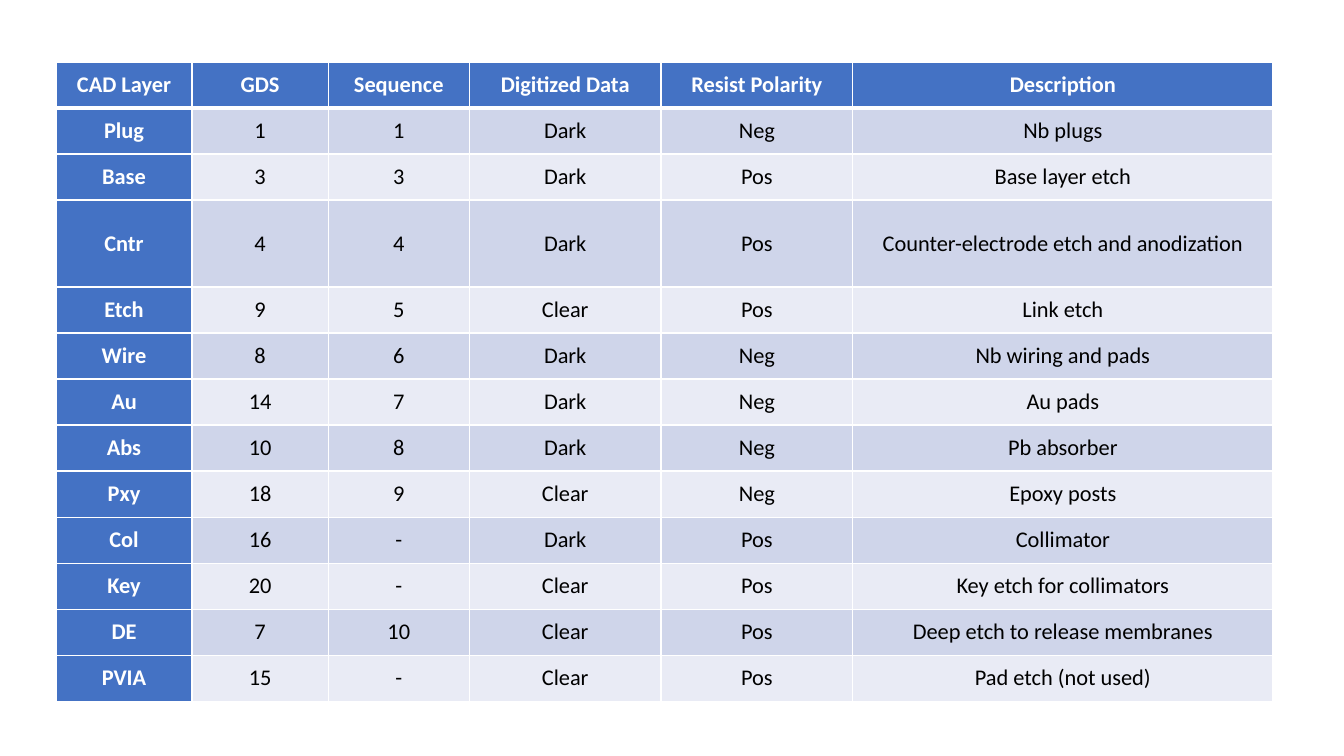
import lxml.etree
import pptx
import pptx.dml.color
import pptx.enum.text
import pptx.oxml.ns
import pptx.util

Cm = pptx.util.Cm
Pt = pptx.util.Pt

WHITE = pptx.dml.color.RGBColor(0xFF, 0xFF, 0xFF)
BLACK = pptx.dml.color.RGBColor(0x00, 0x00, 0x00)
HEADER_BLUE = pptx.dml.color.RGBColor(0x44, 0x72, 0xC4)
BAND_DARK = pptx.dml.color.RGBColor(0xCF, 0xD5, 0xEA)
BAND_LIGHT = pptx.dml.color.RGBColor(0xE9, 0xEB, 0xF5)

COLUMN_WIDTHS = (3.43, 3.43, 3.56, 4.83, 4.83, 10.59)
ROW_HEIGHT = 1.16
TALL_ROW_HEIGHT = 2.19
TALL_LAYER = "Cntr"

LAYERS = (
    ("CAD Layer", "GDS", "Sequence", "Digitized Data", "Resist Polarity", "Description"),
    ("Plug", "1", "1", "Dark", "Neg", "Nb plugs"),
    ("Base", "3", "3", "Dark", "Pos", "Base layer etch"),
    ("Cntr", "4", "4", "Dark", "Pos", "Counter-electrode etch and anodization"),
    ("Etch", "9", "5", "Clear", "Pos", "Link etch"),
    ("Wire", "8", "6", "Dark", "Neg", "Nb wiring and pads"),
    ("Au", "14", "7", "Dark", "Neg", "Au pads"),
    ("Abs", "10", "8", "Dark", "Neg", "Pb absorber"),
    ("Pxy", "18", "9", "Clear", "Neg", "Epoxy posts"),
    ("Col", "16", "-", "Dark", "Pos", "Collimator"),
    ("Key", "20", "-", "Clear", "Pos", "Key etch for collimators"),
    ("DE", "7", "10", "Clear", "Pos", "Deep etch to release membranes"),
    ("PVIA", "15", "-", "Clear", "Pos", "Pad etch (not used)"),
)


def write_text(cell, text, *, color=BLACK, bold=False, size=16, font="Calibri"):
    """Write centred text into a cell with the given format."""
    cell.vertical_anchor = pptx.enum.text.MSO_ANCHOR.MIDDLE
    cell.margin_left = cell.margin_right = Cm(0.18)
    cell.margin_top = cell.margin_bottom = 0
    paragraph = cell.text_frame.paragraphs[0]
    paragraph.alignment = pptx.enum.text.PP_ALIGN.CENTER
    run = paragraph.add_run()
    run.text = text
    run.font.name = font
    run.font.size = Pt(size)
    run.font.bold = bold
    run.font.color.rgb = color


def draw_borders(cell, top, bottom):
    """Give a cell white borders, with top and bottom widths in points."""
    properties = cell._tc.get_or_add_tcPr()
    qualify = pptx.oxml.ns.qn
    for edge, width in (("L", 1), ("R", 1), ("T", top), ("B", bottom)):
        line = lxml.etree.SubElement(properties, qualify(f"a:ln{edge}"), w=str(Pt(width)))
        fill = lxml.etree.SubElement(line, qualify("a:solidFill"))
        lxml.etree.SubElement(fill, qualify("a:srgbClr"), val=str(WHITE))


def add_layer_table(slide, left, top, width, height):
    """Place the table of mask layers in the given box."""
    shape = slide.shapes.add_table(len(LAYERS), len(COLUMN_WIDTHS), left, top, width, height)
    table = shape.table
    table.first_col = True
    for column, column_width in zip(table.columns, COLUMN_WIDTHS):
        column.width = round(width * column_width / sum(COLUMN_WIDTHS))
    for row_index, layer in enumerate(LAYERS):
        tall = layer[0] == TALL_LAYER
        table.rows[row_index].height = Cm(TALL_ROW_HEIGHT if tall else ROW_HEIGHT)
        band = BAND_DARK if row_index % 2 else BAND_LIGHT
        for column_index, text in enumerate(layer):
            cell = table.cell(row_index, column_index)
            heading = row_index == 0 or column_index == 0
            draw_borders(cell, 3 if row_index == 1 else 1, 3 if row_index == 0 else 1)
            cell.fill.solid()
            cell.fill.fore_color.rgb = HEADER_BLUE if heading else band
            write_text(cell, text, color=WHITE if heading else BLACK, bold=heading)


def main():
    """Build the slide and save it."""
    presentation = pptx.Presentation()
    presentation.slide_width = Cm(33.87)
    presentation.slide_height = Cm(19.05)
    slide = presentation.slides.add_slide(presentation.slide_layouts[6])
    table_height = ROW_HEIGHT * (len(LAYERS) - 1) + TALL_ROW_HEIGHT
    add_layer_table(slide, Cm(1.41), Cm(1.56), Cm(sum(COLUMN_WIDTHS)), Cm(table_height))
    presentation.save("out.pptx")


if __name__ == "__main__":
    main()
